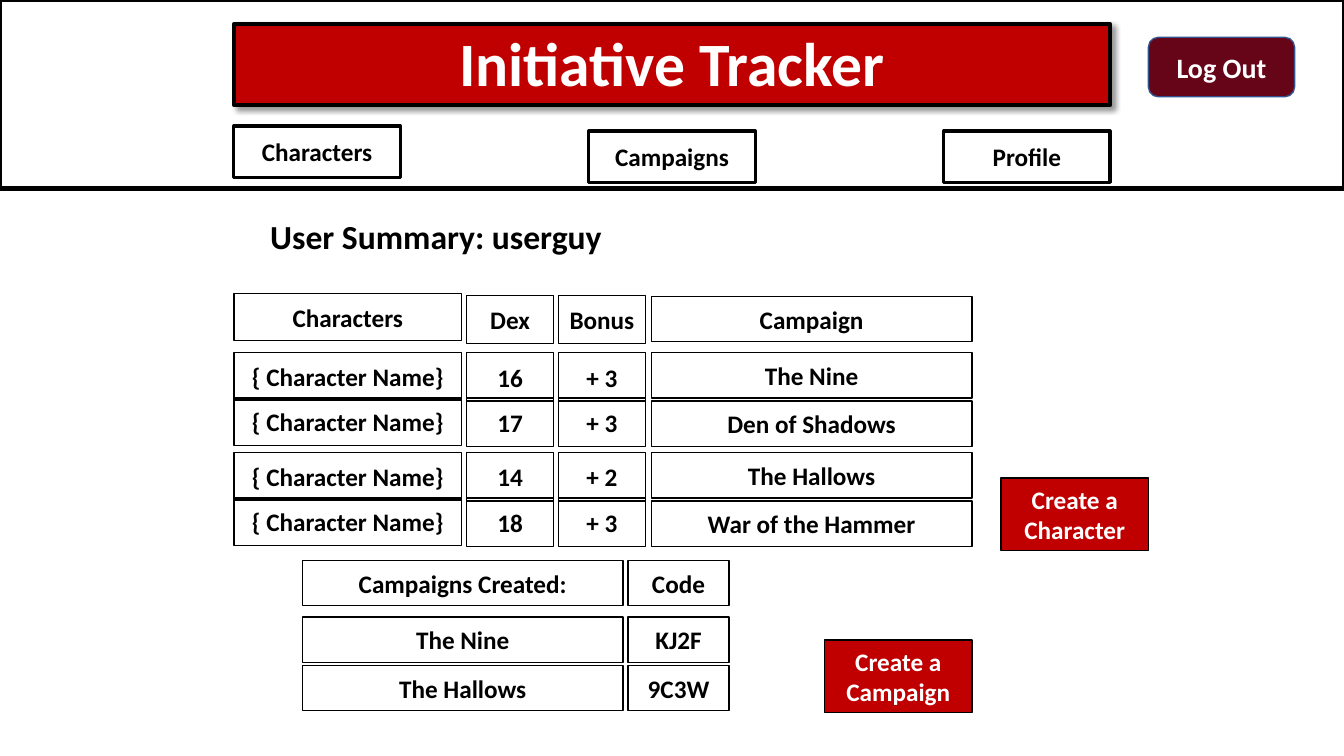
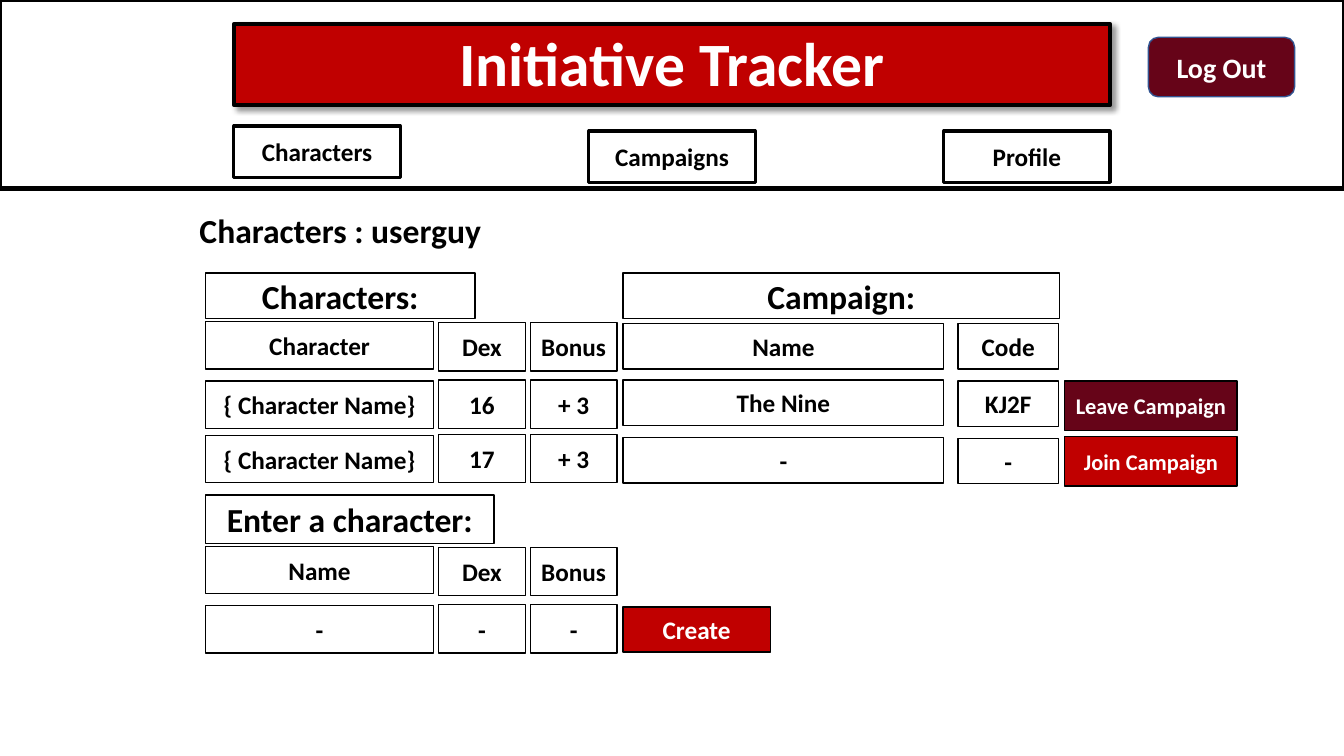
import pptx
import pptx.util
import pptx.dml.color
import pptx.enum.shapes
import pptx.enum.text
import pptx.oxml
import pptx.oxml.ns

PX = 9144  # EMU in one px, 100 px to the inch
COLORS = {"black": "000000", "white": "FFFFFF", "red": "C00000",
          "wine": "660418", "blue": "325491"}
RECT = pptx.enum.shapes.MSO_SHAPE.RECTANGLE
ROUNDED = pptx.enum.shapes.MSO_SHAPE.ROUNDED_RECTANGLE
ANCHOR = pptx.enum.text.MSO_ANCHOR
TITLE_SHADOW = (
    f'<a:outerShdw {pptx.oxml.ns.nsdecls("a")} blurRad="50800" dist="38100" '
    'dir="2700000" algn="tl" rotWithShape="0">'
    f'<a:srgbClr val="{COLORS["black"]}"><a:alpha val="40000"/></a:srgbClr>'
    '</a:outerShdw>')


def style(sp, text, size=18, color="black", fill=None, line="black", width=1,
          anchor=ANCHOR.MIDDLE, spacing=1.0):
    """Fill, outline and label a shape with bold centred text."""
    sp.shadow.inherit = False
    for part, name in ((sp.fill, fill), (sp.line.fill, line)):
        if name:
            part.solid()
            part.fore_color.rgb = pptx.dml.color.RGBColor.from_string(COLORS[name])
        else:
            part.background()
    if line:
        sp.line.width = pptx.util.Pt(width)
    tf = sp.text_frame
    tf.text = text
    frame = {"word_wrap": True, "vertical_anchor": anchor,
             "auto_size": pptx.enum.text.MSO_AUTO_SIZE.NONE}
    for key, value in frame.items():
        setattr(tf, key, value)
    font = {"name": "Calibri", "size": pptx.util.Pt(size), "bold": True}
    for p in tf.paragraphs:
        p.alignment = pptx.enum.text.PP_ALIGN.CENTER
        p.line_spacing = spacing
        for r in p.runs:
            for key, value in font.items():
                setattr(r.font, key, value)
            r.font.color.rgb = pptx.dml.color.RGBColor.from_string(COLORS[color])


def add_box(s, at, text="", shape=RECT, **look):
    sp = s.shapes.add_shape(shape, *(v * PX for v in at))
    style(sp, text, **look)


# Column: left, width, height
NAME, DEX, BONUS = (232, 226, 47), (463, 86, 48), (554, 86, 48)
CAMPAIGN = (646, 318, 45)
SHIFT = -28  # second slide's grid against the first
name2, dex2, bonus2, campaign2 = [
    (x + SHIFT, w, h) for x, w, h in (NAME, DEX, BONUS, CAMPAIGN)]
CHARACTER = "{ Character Name}"

# Grid: columns, then rows of cell tops and cell texts
slides = [
    {
        "heading": ("User Summary: userguy", 232, 217),
        "grids": [
            ((NAME, DEX, BONUS, CAMPAIGN), [
                ((291, 293, 293, 294), ("Characters", "Dex", "Bonus", "Campaign")),
                ((350, 350, 350, 350), (CHARACTER, "16", "+ 3", "The Nine")),
                ((395, 395, 395, 398), (CHARACTER, "17", "+ 3", "Den of Shadows")),
                ((449, 449, 449, 449), (CHARACTER, "14", "+ 2", "The Hallows")),
                ((494, 494, 494, 497), (CHARACTER, "18", "+ 3", "War of the Hammer")),
            ]),
            (((300, 318, 45), (623, 100, 45)), [
                ((556, 556), ("Campaigns Created:", "Code")),
                ((612, 612), ("The Nine", "KJ2F")),
                ((660, 660), ("The Hallows", "9C3W")),
            ]),
        ],
        "sections": [],
        "buttons": [
            ("Create a Campaign", (818, 635, 146, 72), "red", 18),
            ("Create a\nCharacter", (993, 474, 146, 72), "red", 18),
        ],
    },
    {
        "heading": ("Characters : userguy", 137, 211),
        "grids": [
            ((name2, dex2, bonus2, campaign2, (950, 100, 45)), [
                ((319, 320, 320, 321, 321), ("Character", "Dex", "Bonus", "Name", "Code")),
                ((378, 377, 377, 377, 378), (CHARACTER, "16", "+ 3", "The Nine", "KJ2F")),
                ((432, 431, 431, 434, 435), (CHARACTER, "17", "+ 3", "-", "-")),
            ]),
            ((name2, dex2, bonus2), [
                ((542, 543, 543), ("Name", "Dex", "Bonus")),
                ((601, 600, 600), ("-", "-", "-")),
            ]),
        ],
        "sections": [
            ("Characters:", (204, 271, 267, 45)),
            ("Campaign:", (618, 271, 433, 45)),
            ("Enter a character:", (204, 491, 286, 48)),
        ],
        "buttons": [
            ("Create", (618, 602, 146, 45), "red", 18),
            ("Join Campaign", (1056, 433, 171, 49), "red", 16),
            ("Leave Campaign", (1056, 378, 171, 49), "wine", 16),
        ],
    },
]

prs = pptx.Presentation()
prs.slide_width, prs.slide_height = 1333 * PX, 750 * PX

for content in slides:
    s = prs.slides.add_slide(prs.slide_layouts[5])

    # Shared header
    title = s.shapes.title
    for key, value in zip(("left", "top", "width", "height"), (232, 24, 869, 80)):
        setattr(title, key, value * PX)
    style(title, "Initiative Tracker", size=44, color="white", fill="red",
          width=3, anchor=ANCHOR.BOTTOM, spacing=0.9)
    effects = title._element.spPr.find(pptx.oxml.ns.qn("a:effectLst"))
    effects.append(pptx.oxml.parse_xml(TITLE_SHADOW))
    add_box(s, (0, 0, 1333, 187), width=3)
    add_box(s, (1139, 37, 145, 59), "Log Out", ROUNDED, size=20, color="white",
            fill="wine", line="blue")
    for i, (label, top) in enumerate(
            (("Characters", 125), ("Campaigns", 130), ("Profile", 130))):
        add_box(s, (232 + 352 * i, top, 165, 51), label, width=2.25)

    # Page content
    text, left, top = content["heading"]
    sp = s.shapes.add_textbox(left * PX, top * PX, 401 * PX, 45 * PX)
    style(sp, text, size=24, line=None, anchor=ANCHOR.TOP, spacing=0.8)
    for text, at in content["sections"]:
        add_box(s, at, text, size=24)
    for columns, rows in content["grids"]:
        for tops, texts in rows:
            for (x, w, h), y, text in zip(columns, tops, texts):
                add_box(s, (x, y, w, h), text, fill="white" if text == "-" else None)
    for text, at, fill, size in content["buttons"]:
        add_box(s, at, text, size=size, color="white", fill=fill)

prs.save("out.pptx")
